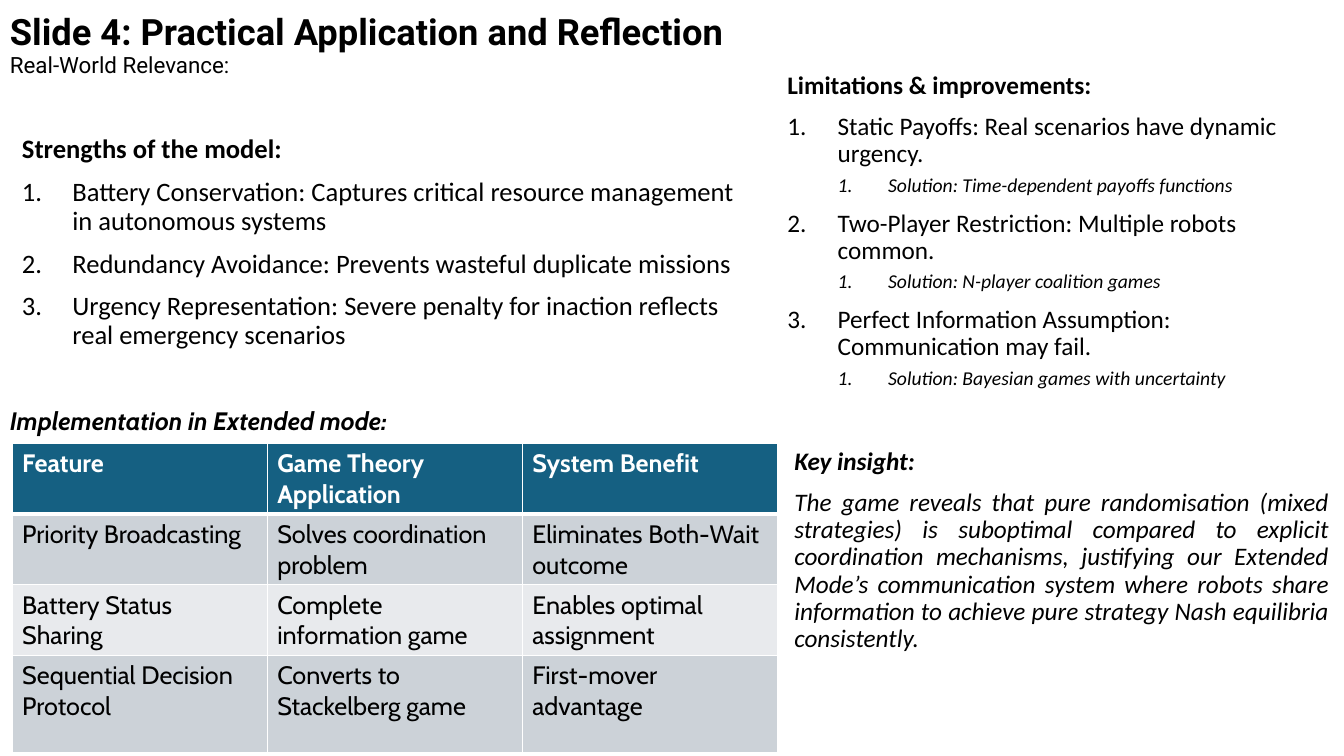
import pptx
import pptx.util
import pptx.oxml
import pptx.oxml.ns
import pptx.dml.color
import pptx.enum.text
from lxml import etree

Inches, Pt = pptx.util.Inches, pptx.util.Pt
ANCHOR = pptx.enum.text.MSO_ANCHOR
ALIGN = pptx.enum.text.PP_ALIGN
COLORS = {"ink": "000000", "white": "FFFFFF", "head": "156082",
          "dark": "CCD2D8", "light": "E8EAED"}


def rgb(name):
    return pptx.dml.color.RGBColor.from_string(COLORS[name])


def add(parent, tag, **attrs):
    return etree.SubElement(parent, pptx.oxml.ns.qn(tag), **attrs)


class Deck:
    def __init__(self):
        self.prs = pptx.Presentation()
        self.prs.slide_width = Inches(13.33)
        self.prs.slide_height = Inches(7.5)
        self.slide = self.prs.slides.add_slide(self.prs.slide_layouts[6])

    def style(self, para, font, size, color="ink", bold=False, italic=False):
        for run in para.runs:
            face = run.font
            face.name, face.size = font, Pt(size)
            face.bold, face.italic = bold, italic
            face.color.rgb = rgb(color)

    def number(self, para, level):
        """Number the paragraph with a hanging indent set by its level."""
        para.level = level
        props = para._p.get_or_add_pPr()
        props.set("marL", str(Inches(0.5 * (level + 1))))
        props.set("indent", str(Inches(-0.5)))
        add(props, "a:buFont", typeface="+mj-lt")
        add(props, "a:buAutoNum", type="arabicPeriod")

    def text(self, box, paras, font="Calibri", size=18, anchor=ANCHOR.TOP):
        """Each para is (text, options); options may hold level, align and run style."""
        shape = self.slide.shapes.add_textbox(*map(Inches, box))
        frame = shape.text_frame
        frame.word_wrap = True
        frame.vertical_anchor = anchor
        frame.text = "\n".join(words for words, _ in paras)
        for para, (_, opts) in zip(frame.paragraphs, paras):
            look = {"size": size, **opts}
            level = look.pop("level", None)
            para.alignment = look.pop("align", ALIGN.LEFT)
            para.line_spacing = 0.9
            para.space_before = Pt(5 if level == 1 else 10)
            if level is not None:
                self.number(para, level)
            self.style(para, font, **look)

    def border(self, cell, base):
        props = cell._tc.get_or_add_tcPr()
        for place, side in enumerate("LRTB"):
            width = base if side == "B" else 1
            line = props.makeelement(pptx.oxml.ns.qn("a:ln" + side), w=str(Pt(width)))
            add(add(line, "a:solidFill"), "a:srgbClr", val=COLORS["white"])
            props.insert(place, line)

    def table(self, box, rows, heights):
        grid = self.slide.shapes.add_table(len(rows), len(rows[0]), *map(Inches, box)).table
        for col in grid.columns:
            col.width = Inches(box[2] / len(rows[0]))
        for r, (row, high) in enumerate(zip(rows, heights)):
            grid.rows[r].height = Inches(high)
            top = r == 0
            fill = "head" if top else "dark" if r % 2 else "light"
            for c, words in enumerate(row):
                cell = grid.cell(r, c)
                cell.text_frame.text = words
                self.style(cell.text_frame.paragraphs[0], "Cabin", 18,
                           "white" if top else "ink", bold=top)
                cell.fill.solid()
                cell.fill.fore_color.rgb = rgb(fill)
                self.border(cell, 3 if top else 1)


def main():
    deck = Deck()
    bold = {"bold": True}
    slant = {"italic": True}
    item = {"level": 0}
    fix = {"level": 1, "size": 14, "italic": True}

    deck.text((0, -0.03, 8.1, 0.72),
              [("Slide 4: Practical Application and Reflection", bold)],
              "Roboto", 25.9, ANCHOR.MIDDLE)
    deck.text((0, 0.49, 3.1, 0.46), [("Real-World Relevance:", {})], "Roboto", 16)
    deck.text((0.12, 1.3, 7.3, 2.31), [
        ("Strengths of the model:", bold),
        ("Battery Conservation: Captures critical resource management in autonomous systems", item),
        ("Redundancy Avoidance: Prevents wasteful duplicate missions", item),
        ("Urgency Representation: Severe penalty for inaction reflects real emergency scenarios", item),
    ], size=19)
    deck.text((0, 4.01, 4.57, 0.46),
              [("Implementation in Extended mode:", bold | slant)], "Cabin")
    deck.table((0.12, 4.4, 7.59, 3.01), [
        ("Feature", "Game Theory Application", "System Benefit"),
        ("Priority Broadcasting", "Solves coordination problem", "Eliminates Both-Wait outcome"),
        ("Battery Status Sharing", "Complete information game", "Enables optimal assignment"),
        ("Sequential Decision Protocol", "Converts to Stackelberg game", "First-mover advantage"),
    ], (0.68, 0.68, 0.68, 0.97))
    deck.text((7.71, 0.67, 5.62, 3.56), [
        ("Limitations & improvements:", bold),
        ("Static Payoffs: Real scenarios have dynamic urgency.", item),
        ("Solution: Time-dependent payoffs functions", fix),
        ("Two-Player Restriction: Multiple robots common.", item),
        ("Solution: N-player coalition games", fix),
        ("Perfect Information Assumption: Communication may fail.", item),
        ("Solution: Bayesian games with uncertainty", fix),
    ])
    deck.text((7.78, 4.4, 5.5, 3.1), [
        ("Key insight:", bold | slant),
        ("The game reveals that pure randomisation (mixed strategies) is suboptimal compared to "
         "explicit coordination mechanisms, justifying our Extended Mode’s communication system "
         "where robots share information to achieve pure strategy Nash equilibria consistently.",
         slant | {"align": ALIGN.JUSTIFY}),
    ])
    deck.prs.save("out.pptx")


if __name__ == "__main__":
    main()
